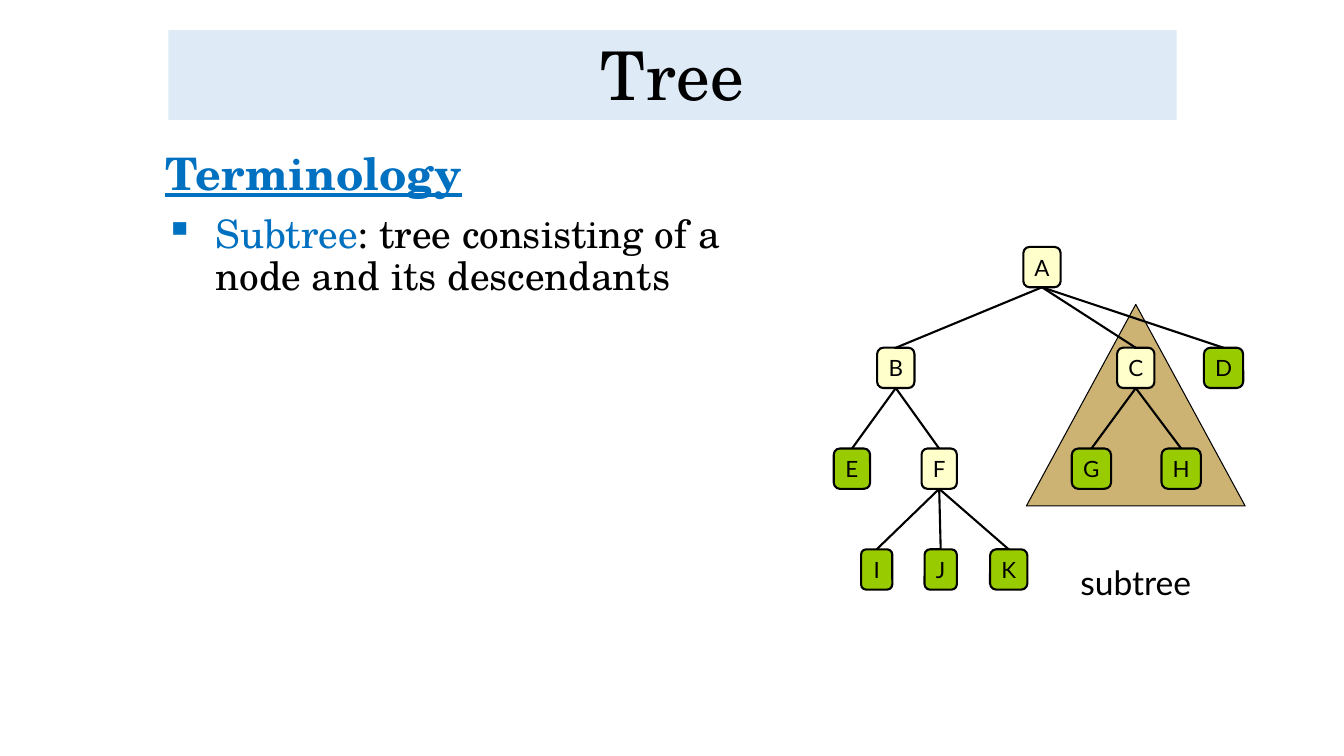
from dataclasses import dataclass

from lxml import etree
from pptx import Presentation
from pptx import util as u
from pptx.dml import color
from pptx.enum import shapes, text
from pptx.oxml import ns

COLORS = {
    "banner": "DEEBF7",
    "accent": "0070C0",
    "ink": "000000",
    "subtree": "CCB374",
    "inner": "FFFFCC",
    "leaf": "99CC00",
}
SERIF = "TeX Gyre Schola"
SANS = "Lato"
ROOT_TOP = 2.45
LEVEL_PITCH = 1.0
NODE_HEIGHT = 0.4


@dataclass(frozen=True)
class Node:
    label: str
    level: int
    left: float
    width: float
    children: str = ""


NODES = [
    Node("A", 0, 10.15, 0.37, "BCD"),
    Node("B", 1, 8.7, 0.37, "EF"),
    Node("C", 1, 11.08, 0.37, "GH"),
    Node("D", 1, 11.94, 0.39),
    Node("E", 2, 8.27, 0.36),
    Node("F", 2, 9.14, 0.35, "IJK"),
    Node("G", 2, 10.63, 0.39),
    Node("H", 2, 11.52, 0.39),
    Node("I", 3, 8.54, 0.31),
    Node("J", 3, 9.17, 0.32),
    Node("K", 3, 9.82, 0.37),
]


def rgb(name: str) -> color.RGBColor:
    return color.RGBColor.from_string(COLORS[name])


def style_run(run, size: float, font: str, ink: str = "ink") -> None:
    run.font.size = u.Pt(size)
    run.font.name = font
    run.font.color.rgb = rgb(ink)


def add_panel(slide, kind, left: float, top: float, width: float, height: float,
              fill: str, line_width: float, caption: str, size: float, font: str,
              anchor=text.MSO_ANCHOR.BOTTOM):
    panel = slide.shapes.add_shape(
        kind, u.Inches(left), u.Inches(top), u.Inches(width), u.Inches(height))
    panel.shadow.inherit = False
    panel.fill.solid()
    panel.fill.fore_color.rgb = rgb(fill)
    if line_width:
        panel.line.color.rgb = rgb("ink")
        panel.line.width = u.Pt(line_width)
    else:
        panel.line.fill.background()
    frame = panel.text_frame
    frame.text = caption
    frame.word_wrap = False
    frame.vertical_anchor = anchor
    frame.paragraphs[0].alignment = text.PP_ALIGN.CENTER
    style_run(frame.paragraphs[0].runs[0], size, font)
    return panel


def add_node(slide, node: Node):
    return add_panel(
        slide, shapes.MSO_SHAPE.ROUNDED_RECTANGLE, node.left,
        ROOT_TOP + node.level * LEVEL_PITCH, node.width, NODE_HEIGHT,
        "inner" if node.children else "leaf", 1.5, node.label, 16, SANS,
        text.MSO_ANCHOR.MIDDLE)


def add_branch(slide, parent, child) -> None:
    branch = slide.shapes.add_connector(shapes.MSO_CONNECTOR.STRAIGHT, 0, 0, 0, 0)
    branch.begin_connect(parent, 2)
    branch.end_connect(child, 0)
    branch.line.color.rgb = rgb("ink")
    branch.line.width = u.Pt(1.5)
    etree.SubElement(branch._element.spPr, ns.qn("a:effectLst"))


def add_bullet(paragraph, symbol: str, indent: float) -> None:
    properties = paragraph._p.get_or_add_pPr()
    properties.set("marL", str(u.Inches(indent)))
    properties.set("indent", str(-u.Inches(indent)))
    tint = etree.SubElement(properties, ns.qn("a:buClr"))
    etree.SubElement(tint, ns.qn("a:srgbClr"), val=COLORS["accent"])
    etree.SubElement(properties, ns.qn("a:buChar"), char=symbol)


def add_terminology(slide) -> None:
    terminology = slide.shapes.add_textbox(
        u.Inches(1.54), u.Inches(1.46), u.Inches(6.47), u.Inches(4.82))
    frame = terminology.text_frame
    frame.word_wrap = True
    frame.text = "Terminology"
    heading = frame.paragraphs[0]
    style_run(heading.runs[0], 32, SERIF, "accent")
    heading.runs[0].font.bold = True
    heading.runs[0].font.underline = True

    definition = frame.add_paragraph()
    definition.text = "Subtree"
    style_run(definition.runs[0], 28, SERIF, "accent")
    meaning = definition.add_run()
    meaning.text = ": tree consisting of a node and its descendants"
    style_run(meaning, 28, SERIF)

    for paragraph in frame.paragraphs:
        paragraph.line_spacing = 0.9
        paragraph.space_before = u.Pt(10)
    add_bullet(definition, "▪", 0.5)


def add_subtree_marker(slide) -> None:
    marker = add_panel(
        slide, shapes.MSO_SHAPE.ISOSCELES_TRIANGLE, 10.18, 3.02, 2.17, 2,
        "subtree", 0.75, "subtree", 24, SANS)
    marker.text_frame.margin_top = u.Inches(2.9)
    marker.text_frame.margin_bottom = 0


def main() -> None:
    deck = Presentation()
    deck.slide_width = u.Inches(13.33)
    deck.slide_height = u.Inches(7.5)
    slide = deck.slides.add_slide(deck.slide_layouts[6])

    title = add_panel(slide, shapes.MSO_SHAPE.RECTANGLE, 1.67, 0.3, 10, 0.89,
                      "banner", 0, "Tree", 48, SERIF)
    title.text_frame.paragraphs[0].line_spacing = 0.9
    add_terminology(slide)
    add_subtree_marker(slide)

    boxes = {node.label: add_node(slide, node) for node in NODES}
    for node in NODES:
        for child in node.children:
            add_branch(slide, boxes[node.label], boxes[child])

    deck.save("out.pptx")


if __name__ == "__main__":
    main()
